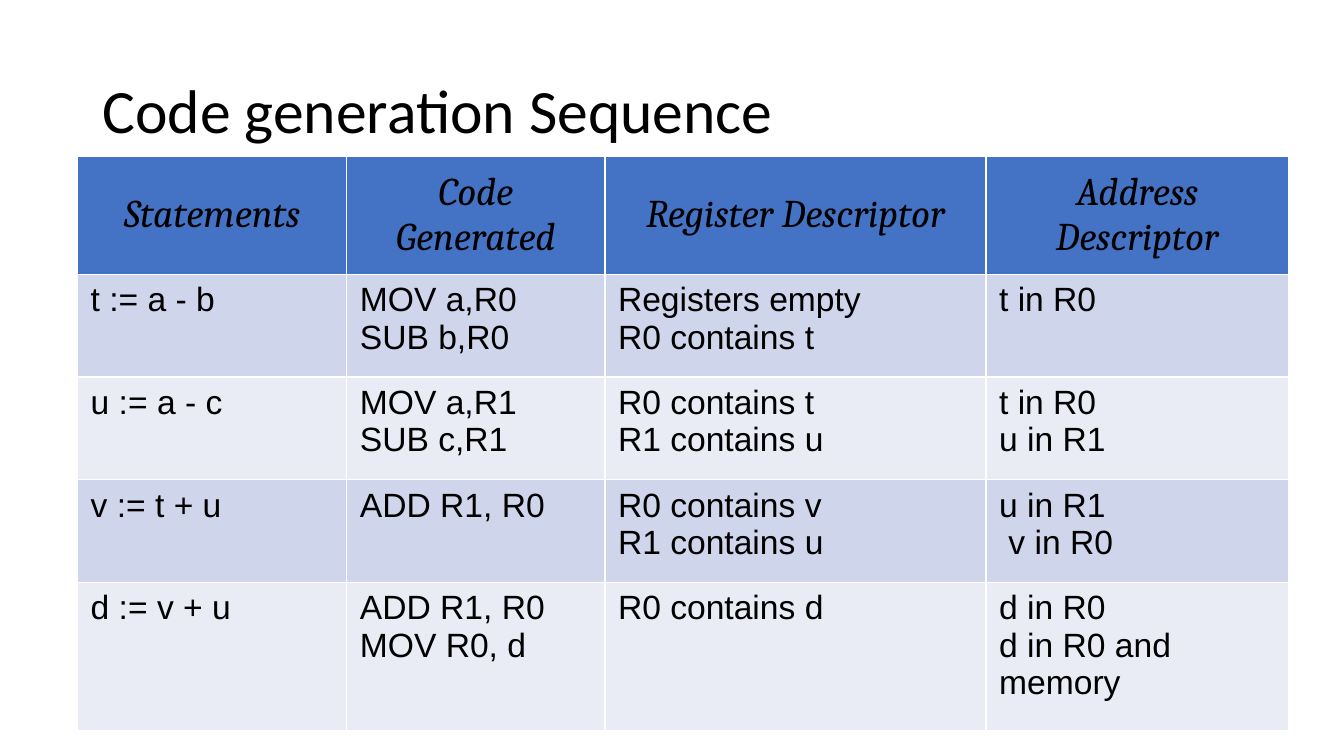
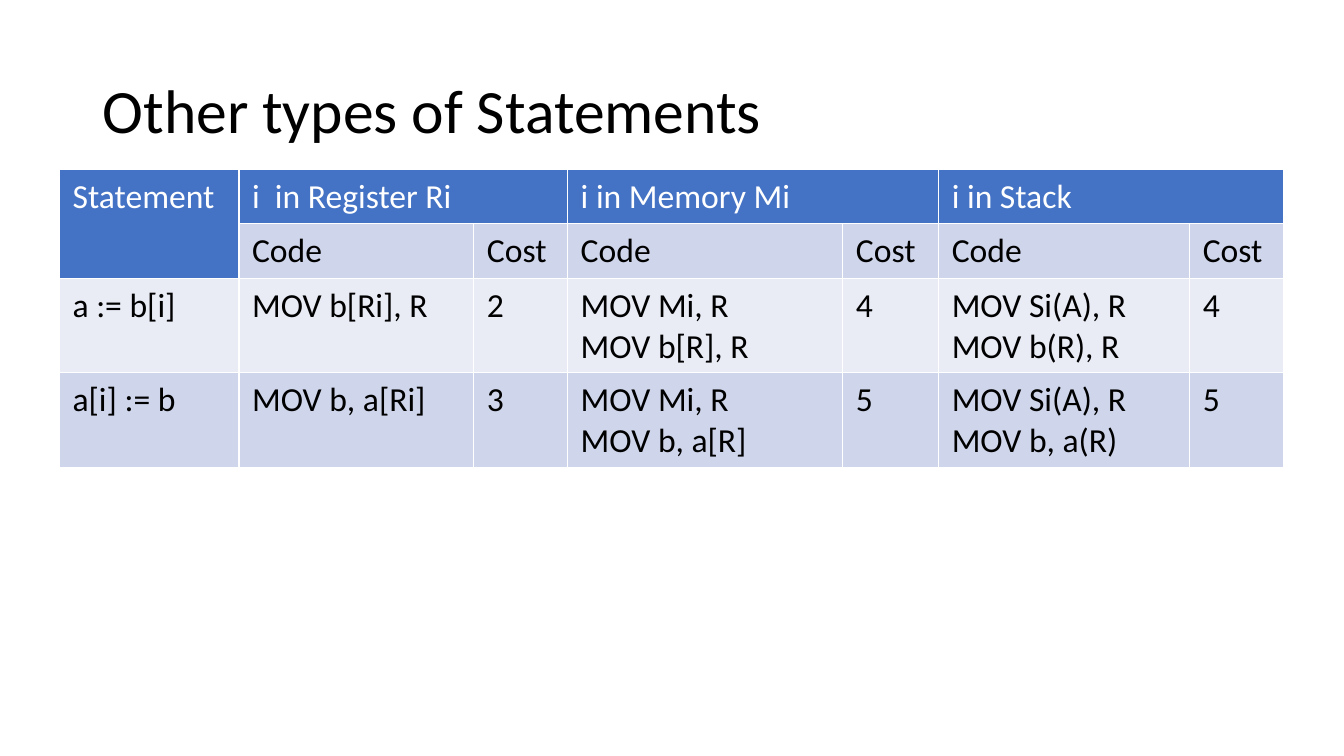
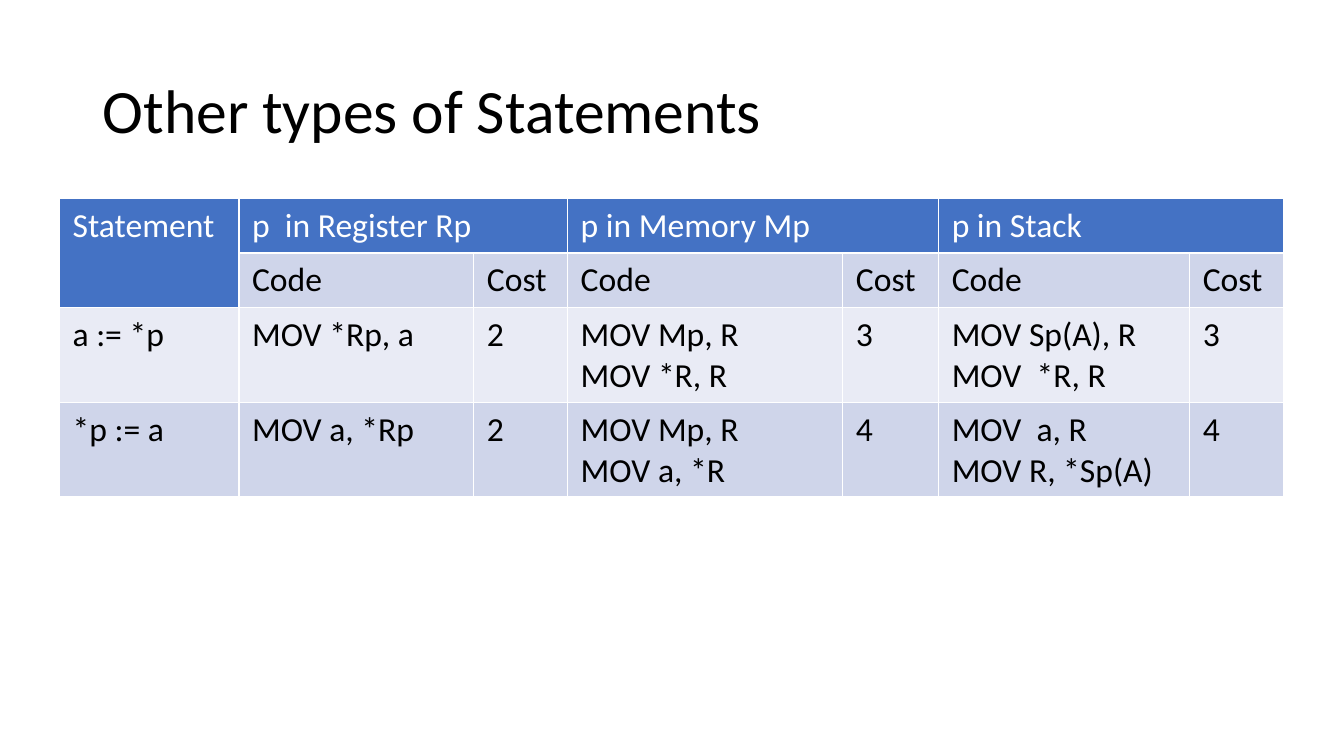
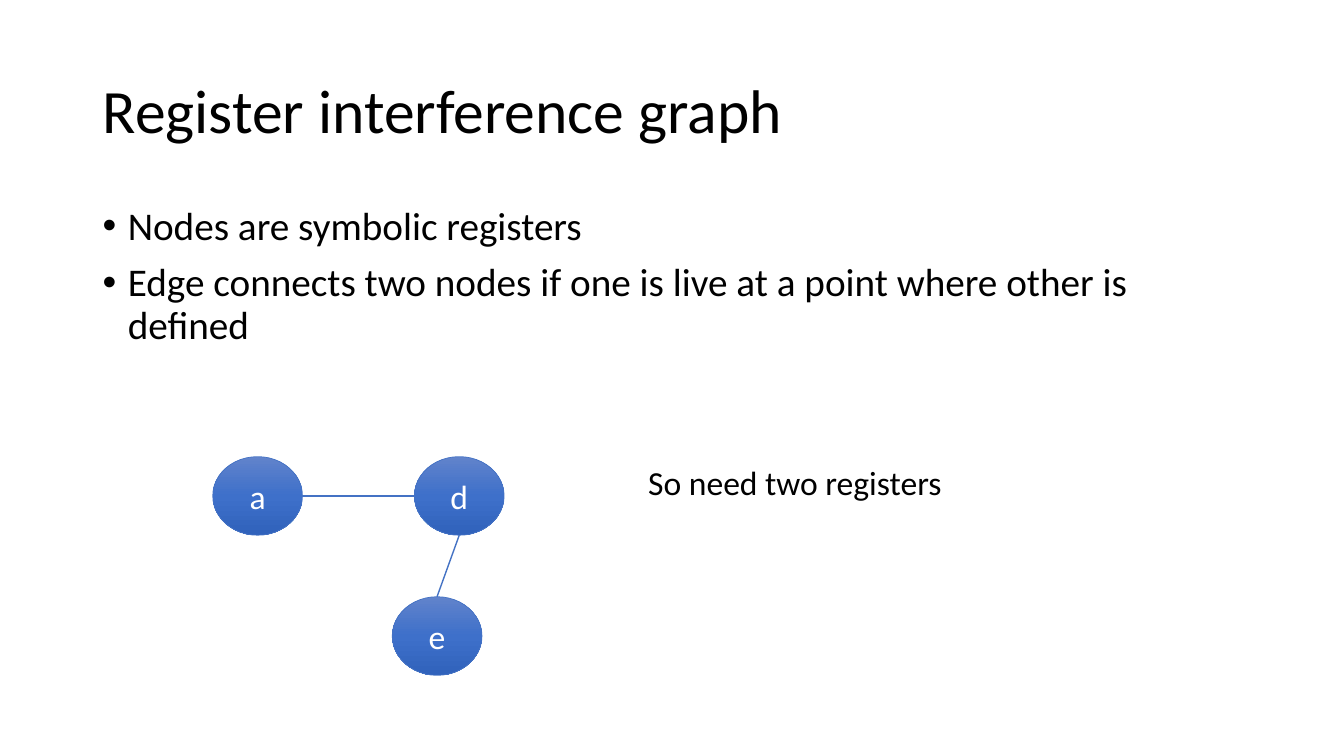
"""Build four slides on code generation and register allocation."""
from copy import deepcopy

from lxml import etree
from pptx import Presentation, util as u
from pptx.dml.color import RGBColor
from pptx.enum import shapes, text
from pptx.oxml.ns import qn

HUES = {"ink": "000000", "paper": "FFFFFF", "head": "4472C4",
        "dark": "CFD5EA", "light": "E9EBF5",
        "top": "6183CB", "mid": "3E70CA", "low": "3062BB"}
RGB = {name: RGBColor.from_string(hue) for name, hue in HUES.items()}


def style(frame, size, hue="ink", font="Calibri", slant=False):
    for para in frame.paragraphs:
        for run in para.runs:
            run.font.size = u.Pt(size)
            run.font.name = font
            run.font.bold = False
            run.font.italic = slant
            run.font.color.rgb = RGB[hue]


def grid(slide, left, top, widths, heights, rows, tints):
    frame = slide.shapes.add_table(
        len(heights), len(widths), u.Inches(left), u.Inches(top),
        u.Inches(sum(widths)), u.Inches(sum(heights)))
    table = frame.table
    for col, width in zip(table.columns, widths):
        col.width = u.Inches(width)
    for row, height, words, tint in zip(table.rows, heights, rows, tints):
        row.height = u.Inches(height)
        for cell, word in zip(row.cells, words):
            cell.text_frame.text = word
            cell.margin_left = cell.margin_right = u.Inches(0.13)
            cell.margin_top = cell.margin_bottom = u.Inches(0.07)
            props = cell._tc.get_or_add_tcPr()
            for side in ("a:lnL", "a:lnR", "a:lnT", "a:lnB"):
                edge = etree.SubElement(props, qn(side), w="12700")
                solid = etree.SubElement(edge, qn("a:solidFill"))
                etree.SubElement(solid, qn("a:srgbClr"), val=HUES["paper"])
            cell.fill.solid()
            cell.fill.fore_color.rgb = RGB[tint]
    return table


deck = Presentation()
deck.slide_width, deck.slide_height = u.Inches(13.33), u.Inches(7.5)
titles = ["Code generation Sequence", "Other types of Statements",
          "Other types of Statements", "Register interference graph"]
slides = []
for title in titles:
    slide = deck.slides.add_slide(deck.slide_layouts[6])
    box = slide.shapes.add_textbox(
        u.Inches(0.92), u.Inches(0.4), u.Inches(11.5), u.Inches(1.45))
    frame = box.text_frame
    frame.word_wrap = True
    frame.vertical_anchor = text.MSO_ANCHOR.MIDDLE
    frame.text = title
    frame.paragraphs[0].line_spacing = 0.9
    style(frame, 44)
    slides.append(slide)

steps = [
    ["Statements", "Code Generated", "Register Descriptor", "Address Descriptor"],
    ["t := a - b", "MOV a,R0\vSUB b,R0", "Registers empty\vR0 contains t", "t in R0"],
    ["u := a - c", "MOV a,R1\vSUB c,R1", "R0 contains t\nR1 contains u",
     "t in R0\nu in R1"],
    ["v := t + u", "ADD R1, R0", "R0 contains v\nR1 contains u",
     "u in R1\n v in R0"],
    ["d := v + u", "ADD R1, R0\nMOV R0, d", "R0 contains d",
     "d in R0\nd in R0 and memory"],
]
table = grid(slides[0], 0.77, 1.55, [2.67, 2.56, 3.78, 3],
             [1.17, 1.02, 1.02, 1.02, 1.47], steps,
             ["head", "dark", "light", "dark", "light"])
for cell in table.iter_cells():
    style(cell.text_frame, 24, font="Arial")
for cell in table.rows[0].cells:
    cell.margin_top = cell.margin_bottom = u.Inches(0.05)
    cell.vertical_anchor = text.MSO_ANCHOR.MIDDLE
    cell.text_frame.paragraphs[0].alignment = text.PP_ALIGN.CENTER
    style(cell.text_frame, 28, font="Cambria", slant=True)

costs = [
    (slides[1], 1.68, ["i  in Register Ri", "i in Memory Mi", "i in Stack"], [
        ["a := b[i]", "MOV b[Ri], R", "2", "MOV Mi, R\nMOV b[R], R", "4",
         "MOV Si(A), R\nMOV b(R), R", "4"],
        ["a[i] := b", "MOV b, a[Ri]", "3", "MOV Mi, R\nMOV b, a[R]", "5",
         "MOV Si(A), R\nMOV b, a(R)", "5"]]),
    (slides[2], 1.97, ["p  in Register Rp", "p in Memory Mp", "p in Stack"], [
        ["a := *p", "MOV *Rp, a", "2", "MOV Mp, R\nMOV *R, R", "3",
         "MOV Sp(A), R\nMOV  *R, R", "3"],
        ["*p := a", "MOV a, *Rp", "2", "MOV Mp, R\nMOV a, *R", "4",
         "MOV  a, R\nMOV R, *Sp(A)", "4"]]),
]
for slide, top, places, body in costs:
    head = ["Statement"]
    for place in places:
        head += [place, ""]
    rows = [head, [""] + ["Code", "Cost"] * 3] + body
    table = grid(slide, 0.59, top, [1.78, 2.33, 0.93, 2.73, 0.95, 2.49, 0.93],
                 [0.54, 0.54, 0.93, 0.93], rows,
                 ["head", "dark", "light", "dark"])
    for cell in table.iter_cells():
        style(cell.text_frame, 24)
    for cell in table.rows[0].cells:
        style(cell.text_frame, 24, "paper")
    table.cell(1, 0).fill.fore_color.rgb = RGB["head"]
    table.cell(0, 0).merge(table.cell(1, 0))
    for col in (1, 3, 5):
        table.cell(0, col).merge(table.cell(0, col + 1))

graph = slides[3].shapes
box = graph.add_textbox(
    u.Inches(0.92), u.Inches(2), u.Inches(11.5), u.Inches(4.76))
frame = box.text_frame
frame.word_wrap = True
frame.text = ("Nodes are symbolic registers\n"
              "Edge connects two nodes if one is live at a point "
              "where other is defined")
for para in frame.paragraphs:
    props = para._p.get_or_add_pPr()
    props.set("marL", str(u.Inches(0.25)))
    props.set("indent", str(-u.Inches(0.25)))
    etree.SubElement(props, qn("a:buFont"), typeface="Arial")
    etree.SubElement(props, qn("a:buChar"), char="•")
    para.line_spacing = 0.9
frame.paragraphs[1].space_before = u.Pt(10)
style(frame, 28)

nodes = {}
for name, left, top in [("a", 2.11, 4.53), ("d", 4.11, 4.53), ("e", 3.89, 5.92)]:
    node = graph.add_shape(shapes.MSO_SHAPE.OVAL, u.Inches(left), u.Inches(top),
                           u.Inches(0.89), u.Inches(0.78))
    node.shadow.inherit = False
    node.fill.gradient()
    node.fill.gradient_angle = 270
    stops = next(node._element.spPr.iter(qn("a:gsLst")))
    stops.insert(1, deepcopy(stops[0]))
    for stop, spot, hue in zip(node.fill.gradient_stops, (0, 0.5, 1),
                               ("top", "mid", "low")):
        stop.position = spot
        stop.color.rgb = RGB[hue]
    node.line.color.rgb = RGB["head"]
    node.line.width = u.Pt(0.5)
    frame = node.text_frame
    frame.text = name
    frame.vertical_anchor = text.MSO_ANCHOR.MIDDLE
    frame.paragraphs[0].alignment = text.PP_ALIGN.CENTER
    style(frame, 24, "paper")
    nodes[name] = node

a, d, e = nodes["a"], nodes["d"], nodes["e"]
links = [
    (a.left + a.width, a.top + a.height // 2, d.left, d.top + d.height // 2),
    (d.left + d.width // 2, d.top + d.height, e.left + e.width // 2, e.top),
]
for ends in links:
    link = graph.add_connector(shapes.MSO_CONNECTOR.STRAIGHT, *ends)
    link.line.color.rgb = RGB["head"]
    link.line.width = u.Pt(1)
    etree.SubElement(link._element.spPr, qn("a:effectLst"))

note = graph.add_textbox(
    u.Inches(6.33), u.Inches(4.53), u.Inches(3.22), u.Inches(0.5))
frame = note.text_frame
frame.word_wrap = True
frame.auto_size = text.MSO_AUTO_SIZE.SHAPE_TO_FIT_TEXT
frame.text = "So need two registers"
style(frame, 24)

deck.save("out.pptx")
